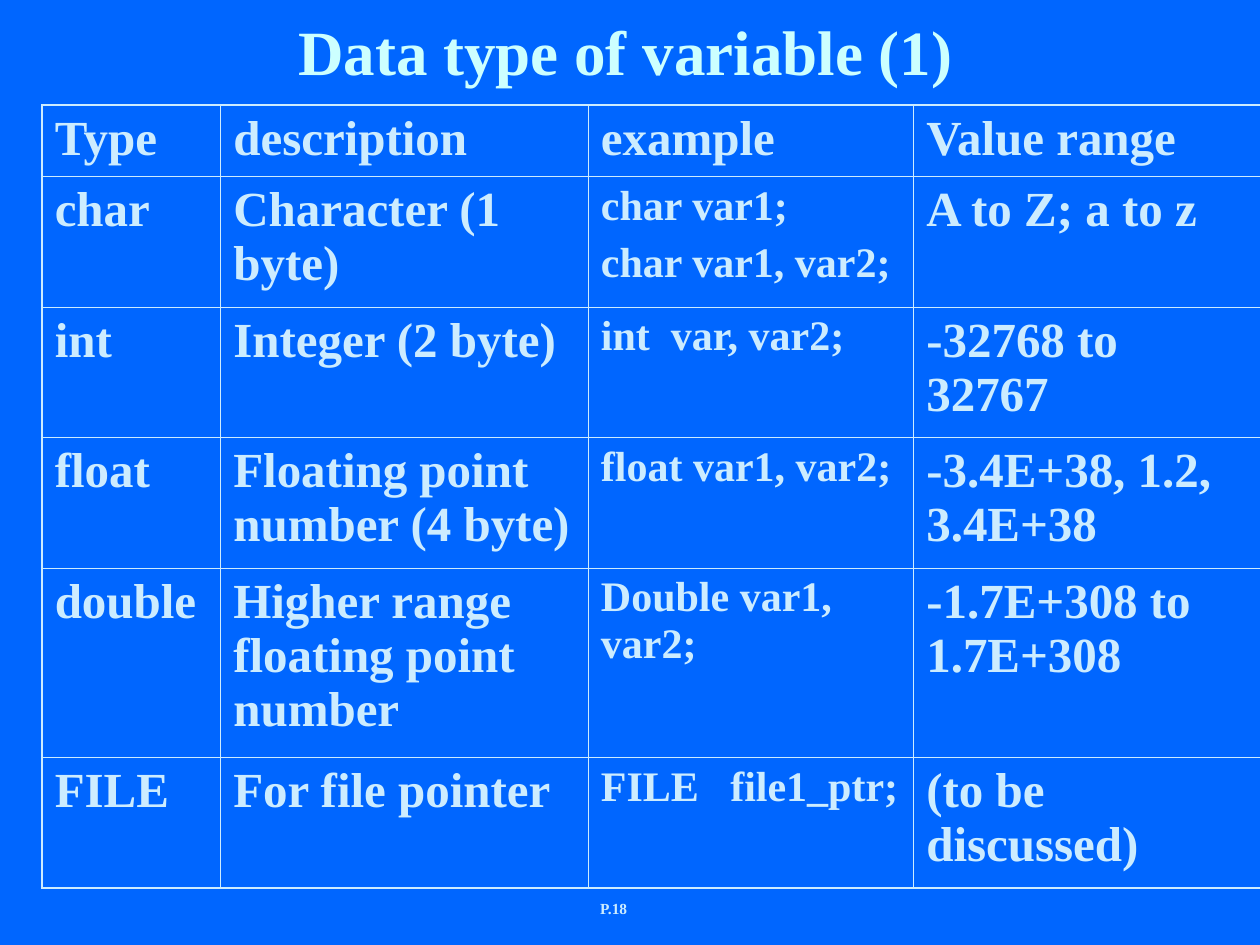
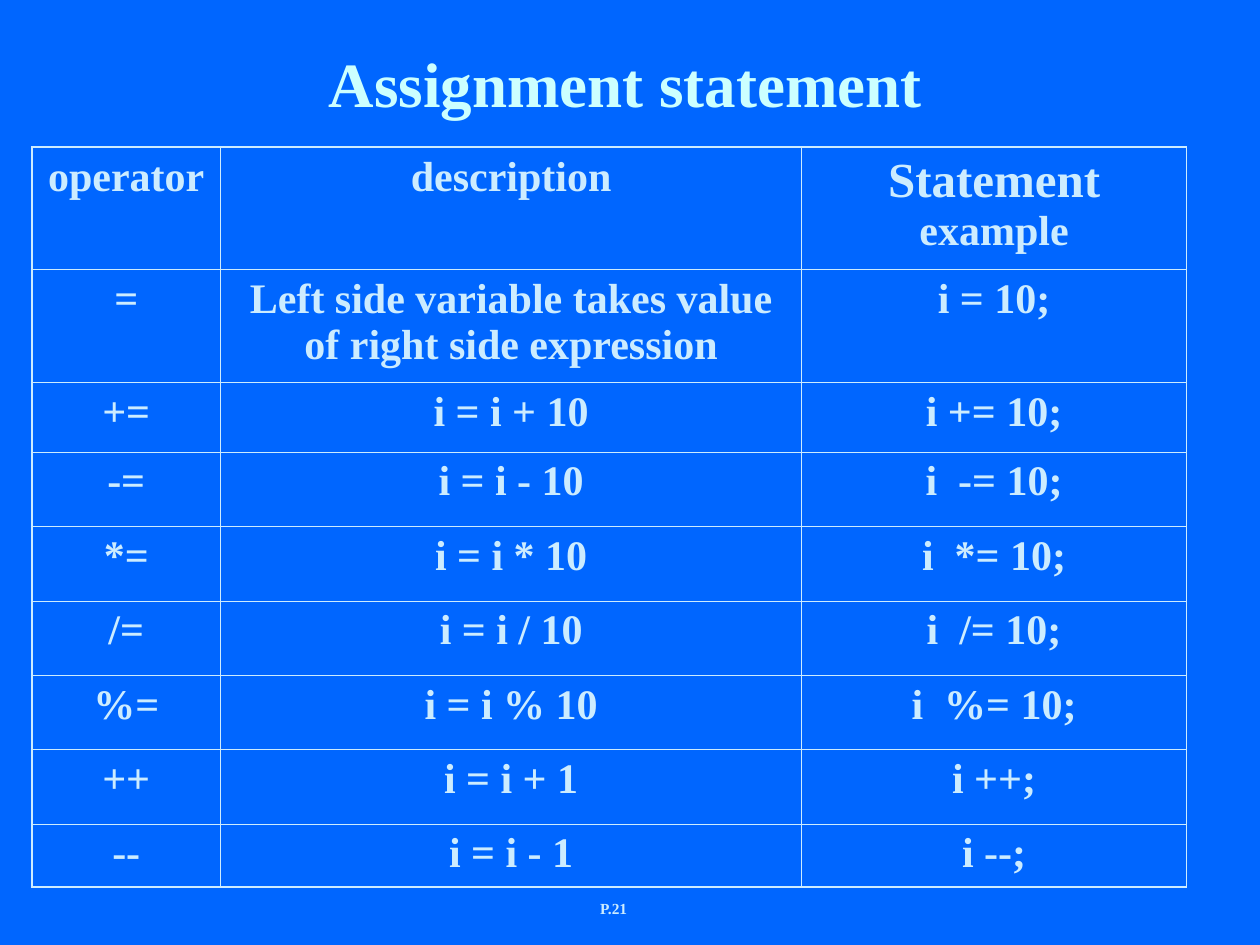
"""Build two C programming slides: variable data types and assignment operators."""
import pptx
import pptx.dml.color
import pptx.enum.text
import pptx.oxml.ns
import pptx.util
from lxml import etree
from pptx.util import Cm, Pt

BACKGROUND = pptx.dml.color.RGBColor(0x00, 0x66, 0xFF)
TITLE_COLOR = pptx.dml.color.RGBColor(0xCC, 0xFF, 0xFF)
BODY_COLOR = pptx.dml.color.RGBColor(0xCC, 0xEC, 0xFF)
FONT = "Times New Roman"
TITLE_SIZE, LARGE, MEDIUM, PAGE_SIZE = 36, 28, 24, 8.8
OUTER_BORDER, INNER_BORDER = Pt(1.08), Pt(0.45)
CENTER = pptx.enum.text.PP_ALIGN.CENTER
LEFT = pptx.enum.text.PP_ALIGN.LEFT
BOTTOM = pptx.enum.text.MSO_ANCHOR.BOTTOM

DATA_TYPES = [
    ("char", "Character (1 byte)", ["char var1;", "char var1, var2;"], "A to Z; a to z"),
    ("int", "Integer (2 byte)", ["int  var, var2;"], "-32768 to 32767"),
    ("float", "Floating point number (4 byte)", ["float var1, var2;"],
     "-3.4E+38, 1.2, 3.4E+38"),
    ("double", "Higher range floating point number", ["Double var1, var2;"],
     "-1.7E+308 to 1.7E+308"),
    ("FILE", "For file pointer", ["FILE   file1_ptr;"], "(to be discussed)"),
]
OPERATORS = [
    ("=", "Left side variable takes value of right side expression", "i = 10;"),
    ("+=", "i = i + 10", "i += 10;"),
    ("-=", "i = i - 10", "i  -= 10;"),
    ("*=", "i = i * 10", "i  *= 10;"),
    ("/=", "i = i / 10", "i  /= 10;"),
    ("%=", "i = i % 10", "i  %= 10;"),
    ("++", "i = i + 1", "i ++;"),
    ("--", "i = i - 1", "i --;"),
]


def lines(size, *texts):
    """Return one single-run paragraph per text, all at the same size."""
    return [[(text, size)] for text in texts]


def write(frame, paragraphs, align, color=BODY_COLOR):
    """Fill a text frame with paragraphs made of (text, size) runs."""
    for index, runs in enumerate(paragraphs):
        paragraph = frame.add_paragraph() if index else frame.paragraphs[0]
        paragraph.alignment = align
        if index:
            paragraph.space_before = Pt(6)
        for text, size in runs:
            run = paragraph.add_run()
            run.text = text
            run.font.name = FONT
            run.font.size = Pt(size)
            run.font.bold = True
            run.font.color.rgb = color


def add_slide(deck, title, title_height, page):
    """Add a slide with its title and page number."""
    slide = deck.slides.add_slide(deck.slide_layouts[5])
    heading = slide.shapes.title
    heading.left, heading.top = Cm(0.64), Cm(0.64)
    heading.width, heading.height = Cm(23.93), title_height
    heading.text_frame.vertical_anchor = BOTTOM
    heading.text_frame.auto_size = pptx.enum.text.MSO_AUTO_SIZE.NONE
    write(heading.text_frame, lines(TITLE_SIZE, title), CENTER, TITLE_COLOR)

    page_number = slide.shapes.add_textbox(Cm(9.73), Cm(17.35), Cm(5.28), Cm(1.27))
    page_number.text_frame.word_wrap = True
    page_number.text_frame.vertical_anchor = BOTTOM
    write(page_number.text_frame, lines(PAGE_SIZE, f"P.{page}"), CENTER)
    return slide


def set_borders(cell, outer_sides):
    """Draw the four cell borders, heavier on the table's outer sides."""
    properties = cell._tc.get_or_add_tcPr()
    for side in "LRTB":
        width = OUTER_BORDER if side in outer_sides else INNER_BORDER
        border = etree.SubElement(properties, pptx.oxml.ns.qn(f"a:ln{side}"), w=str(width))
        fill = etree.SubElement(border, pptx.oxml.ns.qn("a:solidFill"))
        etree.SubElement(fill, pptx.oxml.ns.qn("a:srgbClr"), val=str(BODY_COLOR))


def add_grid(slide, left, top, widths, heights, rows, align):
    """Add an unfilled table with a ruled grid."""
    table = slide.shapes.add_table(len(heights), len(widths), left, top,
                                   Cm(sum(widths)), Cm(sum(heights))).table
    table.first_row = table.horz_banding = False
    for column, width in zip(table.columns, widths):
        column.width = Cm(width)
    for row, height in zip(table.rows, heights):
        row.height = Cm(height)
    last_row, last_column = len(heights) - 1, len(widths) - 1
    for r, row in enumerate(rows):
        for c, paragraphs in enumerate(row):
            cell = table.cell(r, c)
            edges = {"L": c == 0, "R": c == last_column, "T": r == 0, "B": r == last_row}
            set_borders(cell, [side for side, outer in edges.items() if outer])
            cell.fill.background()
            write(cell.text_frame, paragraphs, align)


def add_data_types(deck):
    """Add the slide on variable data types."""
    slide = add_slide(deck, "Data type of variable (1)", Cm(1.27), 18)
    rows = [lines(LARGE, "Type", "description", "example", "Value range")]
    rows = [[[heading] for heading in rows[0]]]
    for name, description, examples, value_range in DATA_TYPES:
        rows.append([lines(LARGE, name), lines(LARGE, description),
                     lines(MEDIUM, *examples), lines(LARGE, value_range)])
    add_grid(slide, Cm(0.85), Cm(2.12), [3.6, 7.41, 6.56, 6.99],
             [1.44] + [2.63] * 3 + [3.82, 2.63], rows, LEFT)


def add_assignment(deck):
    """Add the slide on assignment operators."""
    slide = add_slide(deck, "Assignment statement", Cm(1.91), 21)
    rows = [[lines(MEDIUM, "operator"), lines(MEDIUM, "description"),
             [[("Statement ", LARGE), ("example", MEDIUM)]]]]
    rows += [[lines(MEDIUM, text) for text in operator] for operator in OPERATORS]
    add_grid(slide, Cm(0.64), Cm(2.97), [3.81, 11.71, 7.76],
             [2.46, 2.28, 1.4] + [1.5] * 5 + [1.27], rows, CENTER)


def main():
    """Build and save the deck."""
    deck = pptx.Presentation()
    deck.slide_width, deck.slide_height = Cm(25.4), Cm(19.05)
    background = deck.slide_master.background.fill
    background.solid()
    background.fore_color.rgb = BACKGROUND
    add_data_types(deck)
    add_assignment(deck)
    deck.save("out.pptx")


if __name__ == "__main__":
    main()
